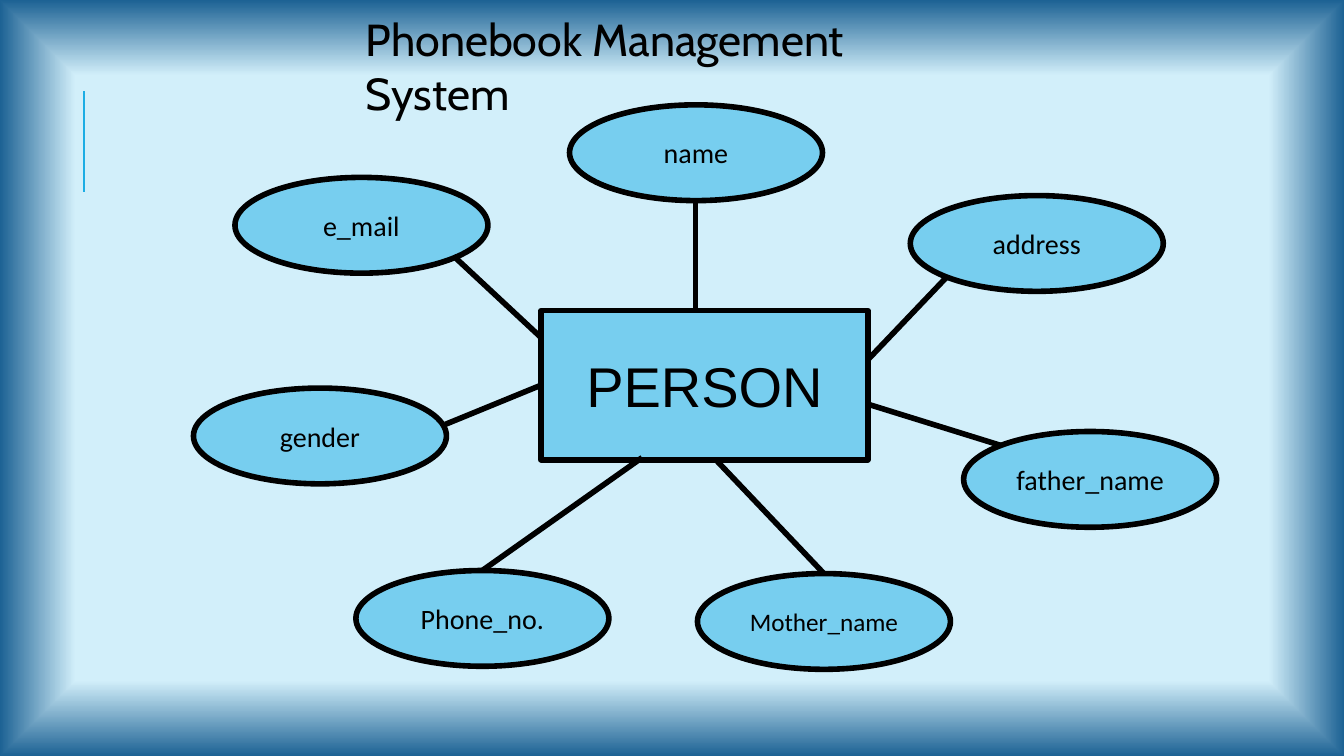
from dataclasses import dataclass

import pptx
import pptx.dml.color
import pptx.enum.dml
import pptx.enum.shapes
import pptx.enum.text
import pptx.oxml
import pptx.oxml.ns
import pptx.util

Pt = pptx.util.Pt
SHAPE = pptx.enum.shapes.MSO_SHAPE
ALIGN = pptx.enum.text.PP_ALIGN


@dataclass(frozen=True)
class Theme:
    ink: str = "000000"
    fill: str = "77CEEF"
    accent: str = "1CADE4"
    centre: str = "D2EFFA"
    edge: str = "1D6294"
    title_font: str = "Cabin"
    entity_font: str = "Arial"
    label_font: str = "Calibri"
    title_size: int = 32
    entity_size: int = 40
    label_size: int = 20
    small_size: int = 18
    stroke: float = 4
    thin: float = 1.5


def rgb(code):
    return pptx.dml.color.RGBColor.from_string(code)


def write(tf, text, *, font, size, color, align=ALIGN.LEFT,
          anchor=pptx.enum.text.MSO_ANCHOR.TOP):
    tf.word_wrap = True
    tf.vertical_anchor = anchor
    p = tf.paragraphs[0]
    p.alignment = align
    r = p.add_run()
    r.text = text
    r.font.name = font
    r.font.size = Pt(size)
    r.font.color.rgb = rgb(color)


class Diagram:
    def __init__(self, s, theme):
        self.s = s
        self.theme = theme

    def background(self):
        fill = self.s.background.fill
        fill.gradient()
        stops = ((0.8, self.theme.centre), (1, self.theme.edge))
        for stop, (position, color) in zip(fill.gradient_stops, stops):
            stop.position = position
            stop.color.rgb = rgb(color)
        lin = next(self.s.element.iter(pptx.oxml.ns.qn("a:lin")))
        lin.getparent().replace(lin, pptx.oxml.parse_xml(
            f'<a:path {pptx.oxml.ns.nsdecls("a")} path="rect">'
            '<a:fillToRect l="50000" t="50000" r="50000" b="50000"/></a:path>'))

    def title(self, text, x, y, w, h):
        t = self.theme
        sp = self.s.shapes.add_textbox(Pt(x), Pt(y), Pt(w), Pt(h))
        write(sp.text_frame, text, font=t.title_font, size=t.title_size, color=t.ink)

    def node(self, kind, text, x, y, w, h, font, size):
        t = self.theme
        sp = self.s.shapes.add_shape(kind, Pt(x), Pt(y), Pt(w), Pt(h))
        sp.shadow.inherit = False
        sp.fill.solid()
        sp.fill.fore_color.rgb = rgb(t.fill)
        sp.line.color.rgb = rgb(t.ink)
        sp.line.width = Pt(t.stroke)
        write(sp.text_frame, text, font=font, size=size, color=t.ink,
              align=ALIGN.CENTER, anchor=pptx.enum.text.MSO_ANCHOR.MIDDLE)
        return sp

    def line(self, start, end, color, width):
        c = self.s.shapes.add_connector(
            pptx.enum.shapes.MSO_CONNECTOR.STRAIGHT, *map(Pt, (*start, *end)))
        c.line.color.rgb = rgb(color)
        c.line.width = Pt(width)
        c.element.spPr.append(pptx.oxml.parse_xml(
            f'<a:effectLst {pptx.oxml.ns.nsdecls("a")}/>'))
        return c


def main():
    prs = pptx.Presentation()
    prs.slide_width, prs.slide_height = Pt(960), Pt(540)
    s = prs.slides.add_slide(prs.slide_layouts[6])
    t = Theme()
    d = Diagram(s, t)
    d.background()
    d.line((60, 136.8), (60, 64.8), t.accent, t.thin)
    d.title("Phonebook Management System", 254.2, 5, 434.9, 46.1)
    person = d.node(SHAPE.RECTANGLE, "PERSON", 386.6, 221.8, 233.3, 106.6,
                    t.entity_font, t.entity_size)

    attributes = (
        ("name", (406.8, 74.9), t.label_size),
        ("address", (650.2, 139.7), t.label_size),
        ("father_name", (688.3, 308.2), t.label_size),
        ("e_mail", (167.8, 126.7), t.label_size),
        ("gender", (138.2, 277.2), t.label_size),
        ("Phone_no.", (254.2, 407.5), t.label_size),
        ("Mother_name", (498.2, 409.7), t.small_size),
    )
    ovals = {
        text: d.node(SHAPE.OVAL, text, *corner, 180.7, 68.4, t.label_font, size)
        for text, corner, size in attributes
    }

    links = {
        "name": ((496.8, 143.3), (496.8, 221.8)),
        "address": ((619.9, 257), (676.8, 197.3)),
        "father_name": ((619.9, 288.7), (715, 318.2)),
        "Mother_name": ((511.2, 328.3), (588.5, 409.7)),
        "e_mail": ((324, 182.9), (386.6, 241.2)),
        "gender": ((318.2, 303.1), (386.6, 275)),
        "Phone_no.": ((458.6, 326.9), (344.9, 407.5)),
    }
    lines = {text: d.line(*ends, t.ink, t.stroke) for text, ends in links.items()}
    lines["gender"].end_connect(person, 1)
    for text in ("Mother_name", "Phone_no."):
        lines[text].end_connect(ovals[text], 0)

    prs.save("out.pptx")


if __name__ == "__main__":
    main()
